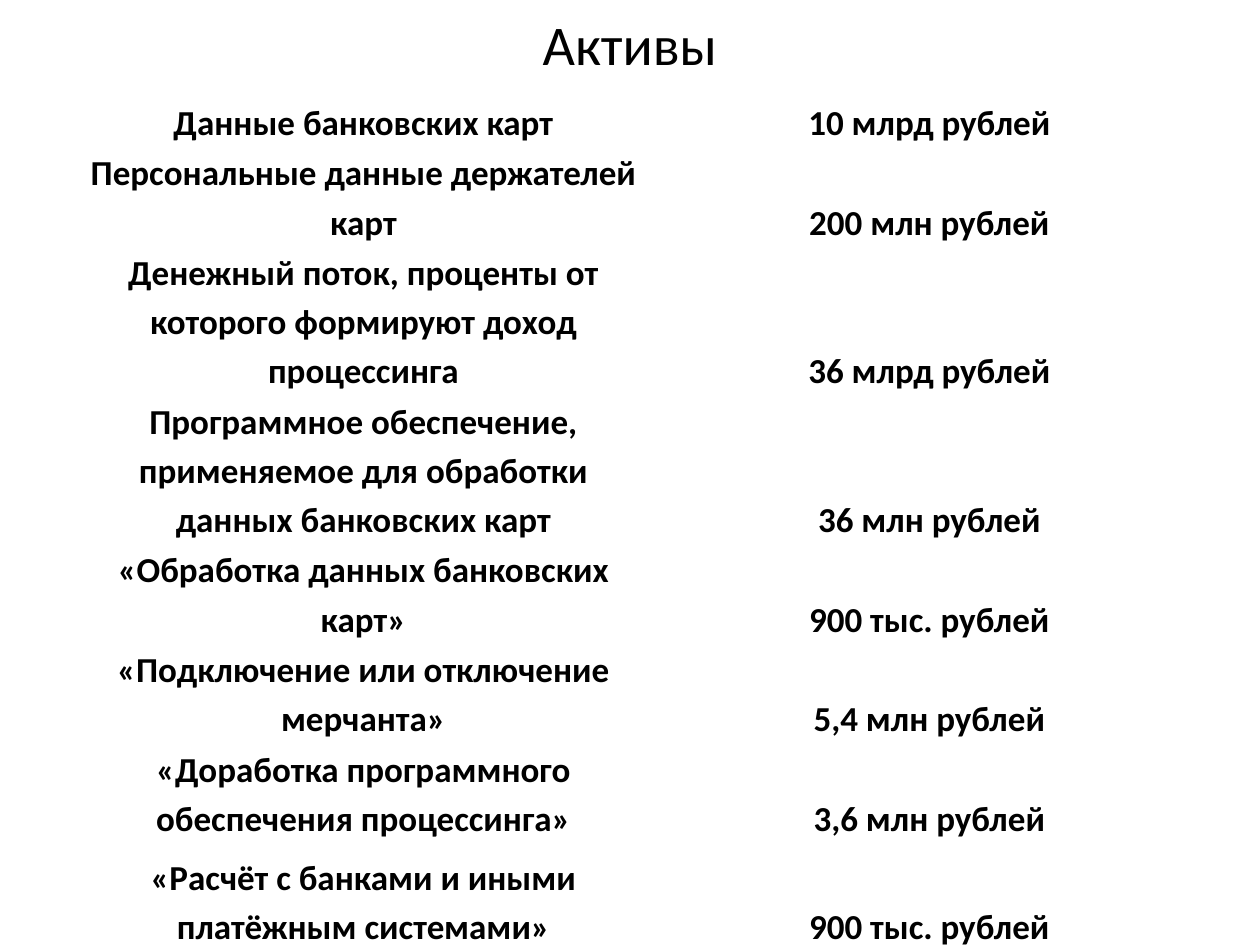
from lxml import etree
from pptx import Presentation
from pptx import util as u
from pptx.dml.color import RGBColor
from pptx.enum import text
from pptx.oxml.ns import qn

BLACK = RGBColor(0, 0, 0)
WHITE = RGBColor(255, 255, 255)
FONT = "Calibri"
PX = u.Inches(1) // 126

ASSETS = [
    ("Данные банковских карт", "10 млрд рублей", 67),
    ("Персональные данные держателей карт", "200 млн рублей", 93),
    ("Денежный поток, проценты от которого формируют доход процессинга",
     "36 млрд рублей", 140),
    ("Программное обеспечение, применяемое для обработки данных банковских карт",
     "36 млн рублей", 140),
    ("«Обработка данных банковских карт»", "900 тыс. рублей", 93),
    ("«Подключение или отключение мерчанта»", "5,4 млн рублей", 93),
    ("«Доработка программного обеспечения процессинга»", "3,6 млн рублей", 93),
    ("«Расчёт с банками и иными платёжным системами»", "900 тыс. рублей", 108),
]


class AssetSlide:
    def __init__(self, deck):
        self.page = deck.slides.add_slide(deck.slide_layouts[6])

    def add_label(self, frame, words, size, spacing, after=0, bold=False):
        para = frame.paragraphs[0]
        para.alignment = text.PP_ALIGN.CENTER
        para.line_spacing = spacing
        para.space_after = u.Pt(after)
        span = para.add_run()
        span.text = words
        span.font.name = FONT
        span.font.size = u.Pt(size)
        span.font.bold = bold
        span.font.color.rgb = BLACK

    def title(self, words, left, top, width, height):
        box = self.page.shapes.add_textbox(
            left * PX, top * PX, width * PX, height * PX)
        frame = box.text_frame
        frame.word_wrap = True
        frame.vertical_anchor = text.MSO_ANCHOR.MIDDLE
        self.add_label(frame, words, 32, 0.9)

    def border(self, cell, side, points):
        properties = cell._tc.get_or_add_tcPr()
        line = etree.SubElement(properties, qn(f"a:ln{side}"), w=str(u.Pt(points)))
        fill = etree.SubElement(line, qn("a:solidFill"))
        etree.SubElement(fill, qn("a:srgbClr"), val=str(WHITE))

    def cell(self, cell, words, bottom):
        cell.margin_left = cell.margin_right = 6 * PX
        cell.margin_top = PX
        cell.margin_bottom = 0
        cell.vertical_anchor = text.MSO_ANCHOR.BOTTOM
        for side, points in (("L", 1), ("R", 1), ("T", 1), ("B", bottom)):
            self.border(cell, side, points)
        cell.fill.background()
        self.add_label(cell.text_frame, words, 20, 1.15, after=10, bold=True)

    def table(self, rows, left, top, widths):
        height = sum(row[-1] for row in rows)
        table = self.page.shapes.add_table(
            len(rows), len(widths), left * PX, top * PX,
            sum(widths) * PX, height * PX).table
        table.first_row = False
        table.horz_banding = False
        for column, width in zip(table.columns, widths):
            column.width = width * PX
        for index, (*words, row_height) in enumerate(rows):
            table.rows[index].height = row_height * PX
            for cell, label in zip(table.rows[index].cells, words):
                self.cell(cell, label, bottom=1 if index else 3)


def main():
    deck = Presentation()
    deck.slide_width = 1260 * PX
    deck.slide_height = 945 * PX
    slide = AssetSlide(deck)
    slide.table(ASSETS, 72, 78, (583, 549))
    slide.title("Активы", 87, 0, 1086, 94)
    deck.save("out.pptx")


if __name__ == "__main__":
    main()
